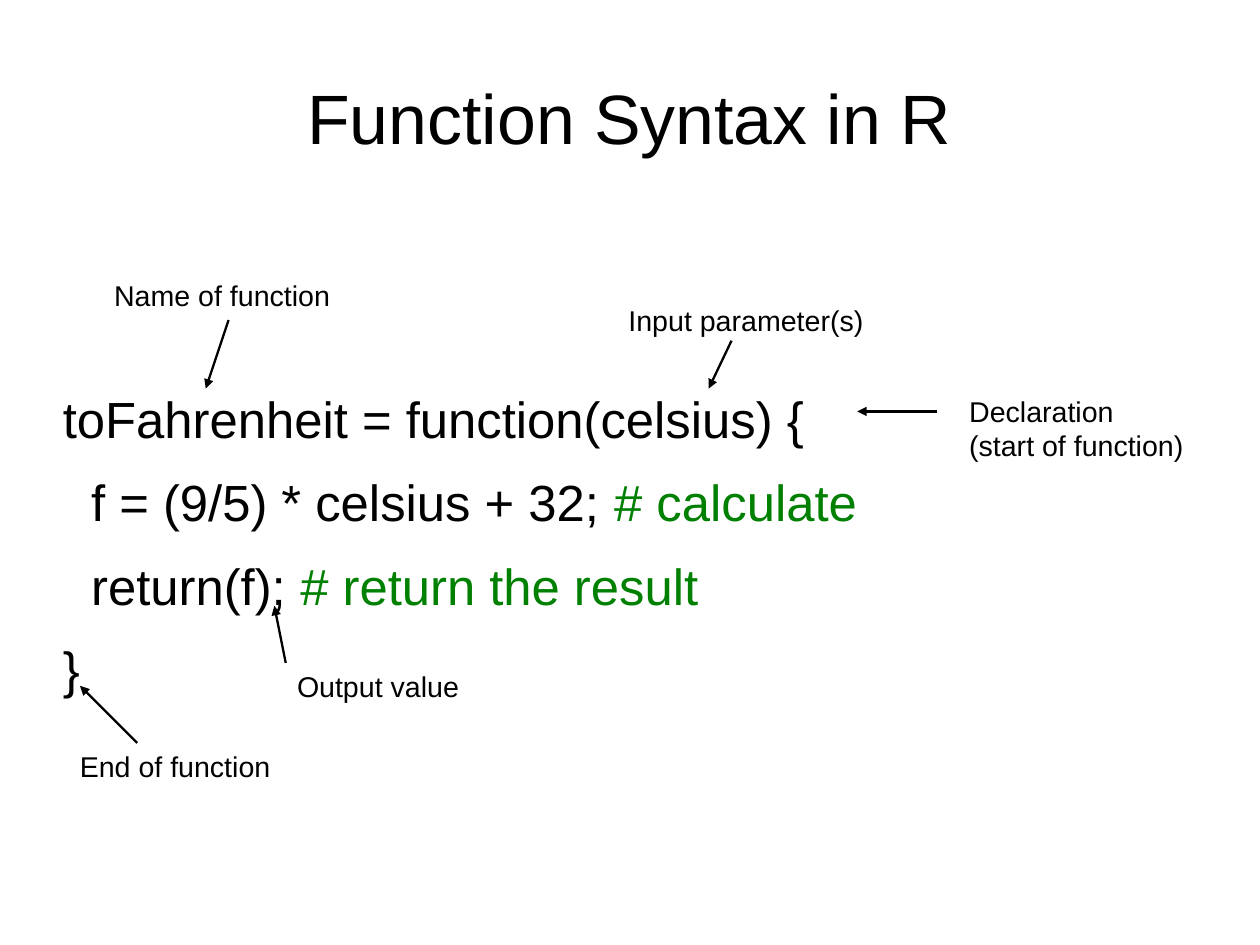
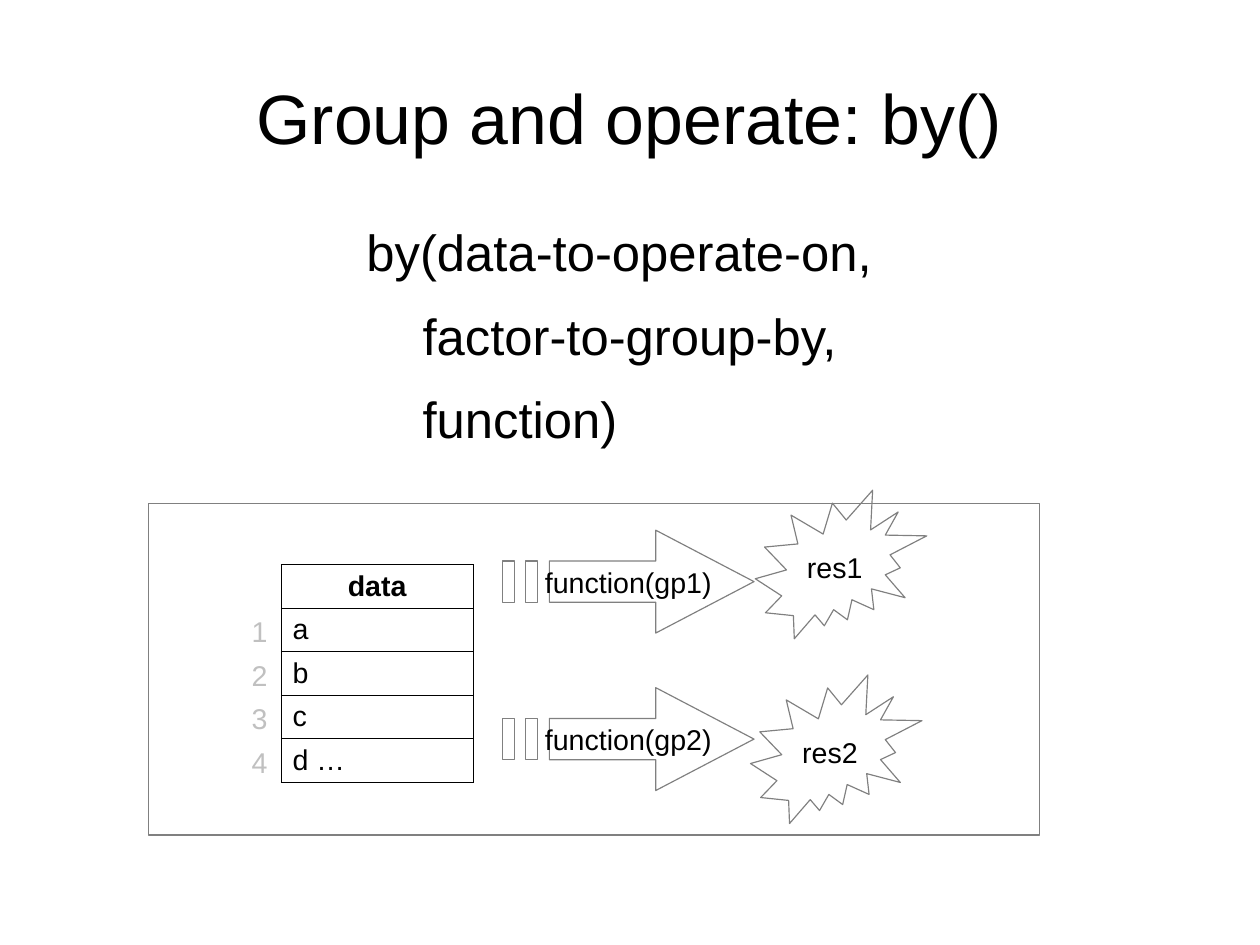
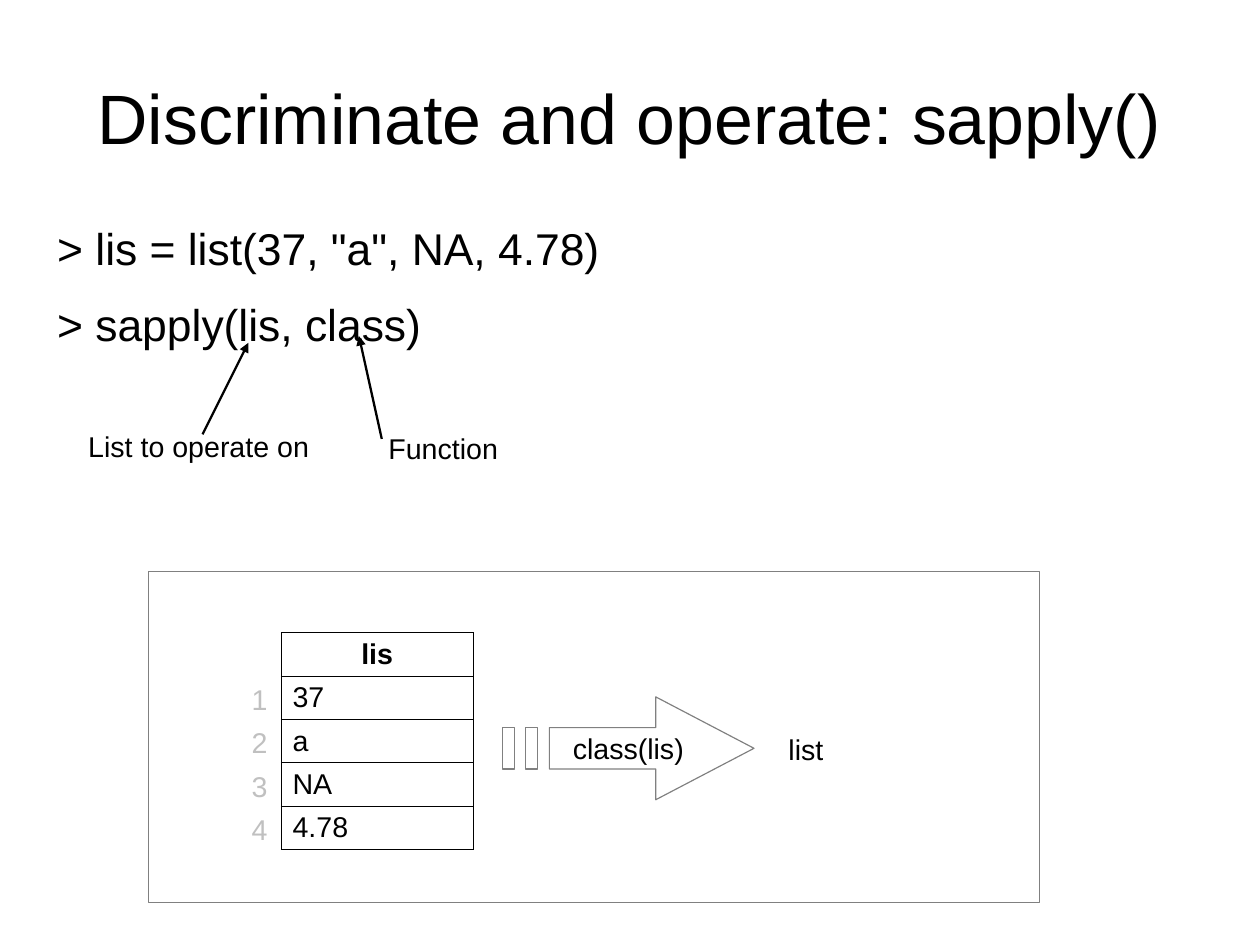
import pptx
import pptx.util
import pptx.dml.color
import pptx.enum.shapes
import pptx.enum.text
import pptx.oxml.ns
from lxml import etree

Pt = pptx.util.Pt
RGBColor = pptx.dml.color.RGBColor
MSO_SHAPE = pptx.enum.shapes.MSO_SHAPE
MSO_AUTO_SIZE = pptx.enum.text.MSO_AUTO_SIZE
MSO_ANCHOR = pptx.enum.text.MSO_ANCHOR
PP_ALIGN = pptx.enum.text.PP_ALIGN
qn = pptx.oxml.ns.qn

BLACK = RGBColor(0x00, 0x00, 0x00)
GREEN = RGBColor(0x00, 0x80, 0x00)
GREY = RGBColor(0x80, 0x80, 0x80)
SILVER = RGBColor(0xC0, 0xC0, 0xC0)

FONT = "Arial"
TITLE_SIZE, LABEL_SIZE = 44, 18
LABEL_H = 27.4
ROW_H = 27.4
TABLE_DROP = 38.6
TITLE_BOX = (39.6, 23.8, 714.2, 99.4)
BODY_BOX = (36, 139, 698.4, 344.9)
CODE_BOX = (39.6, 244, 698.4, 239.9)

# Outlines of the striped arrow, relative to its top left corner
ARROW_HEAD = [(96.5, 0), (158.4, 32.4), (96.5, 64.8), (96.5, 45.4),
              (29.5, 45.4), (29.5, 19.4), (96.5, 19.4)]
ARROW_STRIPES = [[(x, 19.4), (x, 45.4), (x + 7.6, 45.4), (x + 7.6, 19.4)]
                 for x in (0, 14.6)]


def add_run(p, text, size=LABEL_SIZE, color=BLACK, bold=False):
    r = p.add_run()
    r.text = text
    r.font.name = FONT
    r.font.size = Pt(size)
    r.font.bold = bold
    r.font.color.rgb = color


def place(sp, left, top, width, height):
    sp.left, sp.top, sp.width, sp.height = map(Pt, (left, top, width, height))


def clear_insets(tf):
    tf.margin_left = tf.margin_top = tf.margin_right = tf.margin_bottom = 0
    tf.auto_size = MSO_AUTO_SIZE.NONE


def paragraphs(tf, count):
    """Return count paragraphs of a fresh text frame."""
    return [tf.paragraphs[0]] + [tf.add_paragraph() for _ in range(count - 1)]


def add_slide(prs, title, lines, size, box=BODY_BOX):
    """Add a slide; lines are (indent, [(text, color), ...])."""
    s = prs.slides.add_slide(prs.slide_layouts[1])
    place(s.shapes.title, *TITLE_BOX)
    tf = s.shapes.title.text_frame
    clear_insets(tf)
    tf.vertical_anchor = MSO_ANCHOR.MIDDLE
    tf.paragraphs[0].alignment = PP_ALIGN.CENTER
    add_run(tf.paragraphs[0], title, TITLE_SIZE)

    body = s.placeholders[1]
    place(body, *box)
    tf = body.text_frame
    clear_insets(tf)
    for p, (indent, runs) in zip(paragraphs(tf, len(lines)), lines):
        p.space_before = Pt(0)
        p.space_after = Pt(14.2)
        pPr = p._p.get_or_add_pPr()
        pPr.set("marL", str(Pt(indent)))
        pPr.set("indent", "0")
        etree.SubElement(pPr, qn("a:buNone"))
        for text, color in runs:
            add_run(p, text, size, color)
    return s


def add_label(s, left, top, width, *lines, color=BLACK):
    height = LABEL_H + 20.1 * (len(lines) - 1)
    sp = s.shapes.add_textbox(Pt(left), Pt(top), Pt(width), Pt(height))
    tf = sp.text_frame
    tf.word_wrap = False
    tf.auto_size = MSO_AUTO_SIZE.SHAPE_TO_FIT_TEXT
    for p, text in zip(paragraphs(tf, len(lines)), lines):
        add_run(p, text, color=color)


def add_pointer(s, x1, y1, x2, y2):
    """Draw a line with an arrowhead at its second end."""
    cn = s.shapes.add_connector(pptx.enum.shapes.MSO_CONNECTOR.STRAIGHT,
                                Pt(x1), Pt(y1), Pt(x2), Pt(y2))
    cn.line.color.rgb = BLACK
    cn.line.width = Pt(1.45)
    etree.SubElement(cn.line._get_or_add_ln(), qn("a:tailEnd"), type="triangle")
    etree.SubElement(cn._element.spPr, qn("a:effectLst"))


def style_outline(sp, text=None):
    sp.shadow.inherit = False
    sp.fill.background()
    sp.line.color.rgb = GREY
    sp.line.width = Pt(0)
    if text:
        tf = sp.text_frame
        tf.word_wrap = False
        tf.vertical_anchor = MSO_ANCHOR.MIDDLE
        tf.paragraphs[0].alignment = PP_ALIGN.CENTER
        add_run(tf.paragraphs[0], text)


def add_outline(s, kind, left, top, width, height, text=None):
    sp = s.shapes.add_shape(kind, Pt(left), Pt(top), Pt(width), Pt(height))
    style_outline(sp, text)


def add_striped_arrow(s, top, text, left=316.6):
    outlines = [[(Pt(left + x), Pt(top + y)) for x, y in outline]
                for outline in [ARROW_HEAD] + ARROW_STRIPES]
    fb = s.shapes.build_freeform(*outlines[0][0])
    fb.add_line_segments(outlines[0][1:])
    for outline in outlines[1:]:
        fb.move_to(*outline[0])
        fb.add_line_segments(outline[1:])
    style_outline(fb.convert_to_shape(), text)


def set_borders(cell):
    tcPr = cell._tc.get_or_add_tcPr()
    for i, side in enumerate(("lnL", "lnR", "lnT", "lnB")):
        ln = etree.Element(qn("a:" + side), w=str(Pt(0.57)))
        fill = etree.SubElement(ln, qn("a:solidFill"))
        etree.SubElement(fill, qn("a:srgbClr"), val=str(BLACK))
        tcPr.insert(i, ln)


def add_data_panel(s, top, header, values):
    """Draw the frame with the one-column table and its row numbers."""
    texts = [header] + values
    table = s.shapes.add_table(len(texts), 1, Pt(177.1), Pt(top + TABLE_DROP),
                               Pt(121), Pt(ROW_H * len(texts))).table
    table.first_row = table.horz_banding = False
    for i, text in enumerate(texts):
        table.rows[i].height = Pt(ROW_H)
        cell = table.cell(i, 0)
        cell.fill.background()
        set_borders(cell)
        p = cell.text_frame.paragraphs[0]
        p.alignment = PP_ALIGN.LEFT if i else PP_ALIGN.CENTER
        add_run(p, text, bold=i == 0)
        if i:
            add_label(s, 151.4, top + TABLE_DROP + ROW_H * i, 24.5, str(i),
                      color=SILVER)
    add_outline(s, MSO_SHAPE.RECTANGLE, 93.6, top, 561.2, 208.8)


def function_syntax(prs):
    s = add_slide(prs, "Function Syntax in R", [
        (0, [("toFahrenheit = function(celsius) {", BLACK)]),
        (17.8, [("f = (9/5) * celsius + 32; ", BLACK), ("# calculate", GREEN)]),
        (17.8, [("return(f); ", BLACK), ("# return the result", GREEN)]),
        (0, [("}", BLACK)]),
    ], 32, CODE_BOX)
    add_label(s, 603.4, 244.5, 150.5, "Declaration", "(start of function)")
    add_label(s, 388.8, 187.2, 163.5, "Input parameter(s)")
    add_label(s, 180, 417.6, 117.5, "Output value")
    add_label(s, 43.2, 468, 135.5, "End of function")
    add_label(s, 64.8, 171.7, 151.5, "Name of function")
    for ends in [(180, 417.6, 172.8, 381.6), (590.4, 259.2, 540, 259.2),
                 (460.8, 214.6, 446.4, 244.8), (86.4, 468, 50.4, 432),
                 (144, 201.6, 129.6, 244.8)]:
        add_pointer(s, *ends)


def group_by(prs):
    s = add_slide(prs, "Group and operate: by()", [
        (194.8, [("by(data-to-operate-on,", BLACK)]),
        (230.2, [("factor-to-group-by,", BLACK)]),
        (230.2, [("function)", BLACK)]),
    ], 32)
    add_data_panel(s, 317.2, "data", ["a", "b", "c", "d …"])
    add_striped_arrow(s, 433.2, "function(gp2)")
    add_striped_arrow(s, 334, "function(gp1)")
    for left, top, text in [(475.8, 308.8, "res1"), (472.8, 425.2, "res2")]:
        add_outline(s, MSO_SHAPE.EXPLOSION2, left, top, 108, 93.6, text)


def sapply(prs):
    s = add_slide(prs, "Discriminate and operate: sapply()", [
        (0, [('> lis = list(37, "a", NA, 4.78)', BLACK)]),
        (0, [("> sapply(lis, class)", BLACK)]),
    ], 28)
    add_data_panel(s, 359.8, "lis", ["37", "a", "NA", "4.78"])
    add_striped_arrow(s, 439, "class(lis)")
    add_label(s, 489.6, 457.2, 89.3, "list")
    add_label(s, 237.6, 267.8, 84, "Function")
    add_label(s, 48.5, 266.4, 154, "List to operate on")
    add_pointer(s, 240.5, 276.5, 226.1, 211.7)
    add_pointer(s, 127.6, 273.6, 156.4, 216)


def main():
    prs = pptx.Presentation()
    prs.slide_width, prs.slide_height = Pt(793.7), Pt(595.28)
    function_syntax(prs)
    group_by(prs)
    sapply(prs)
    prs.save("out.pptx")


if __name__ == "__main__":
    main()
